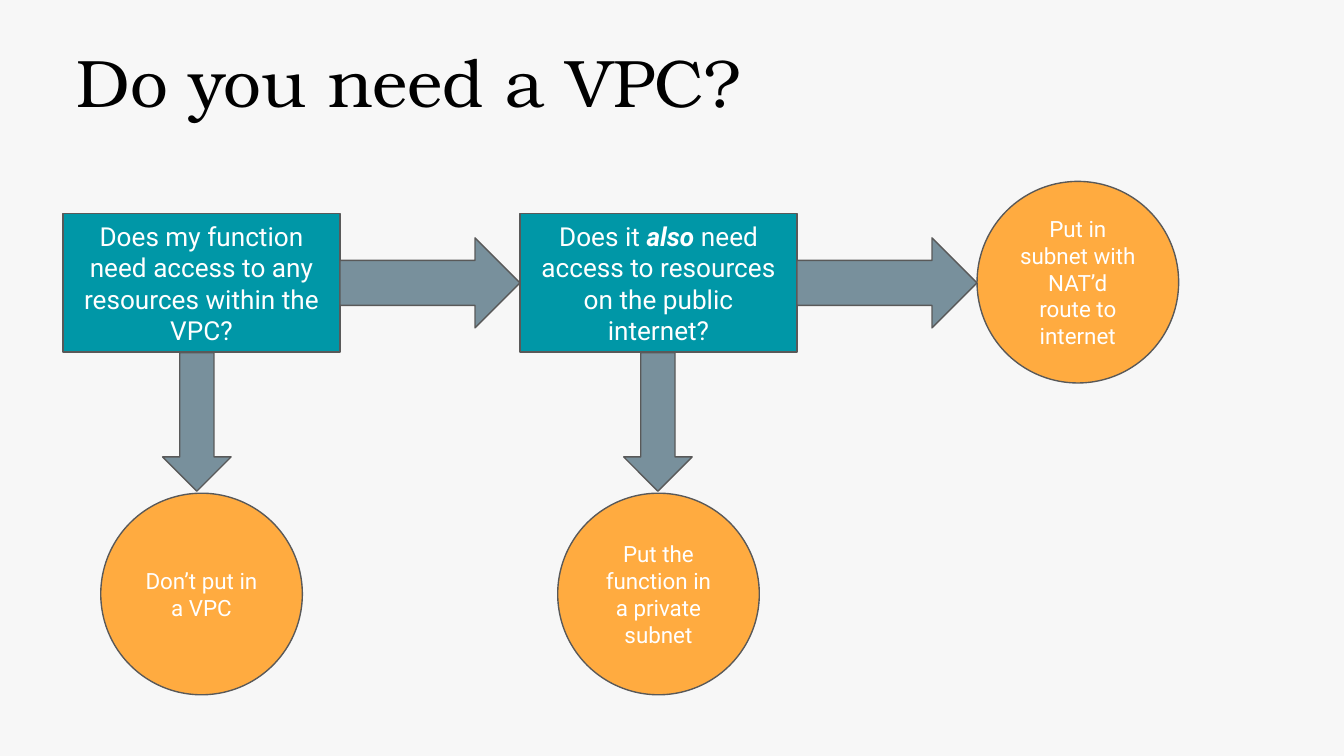
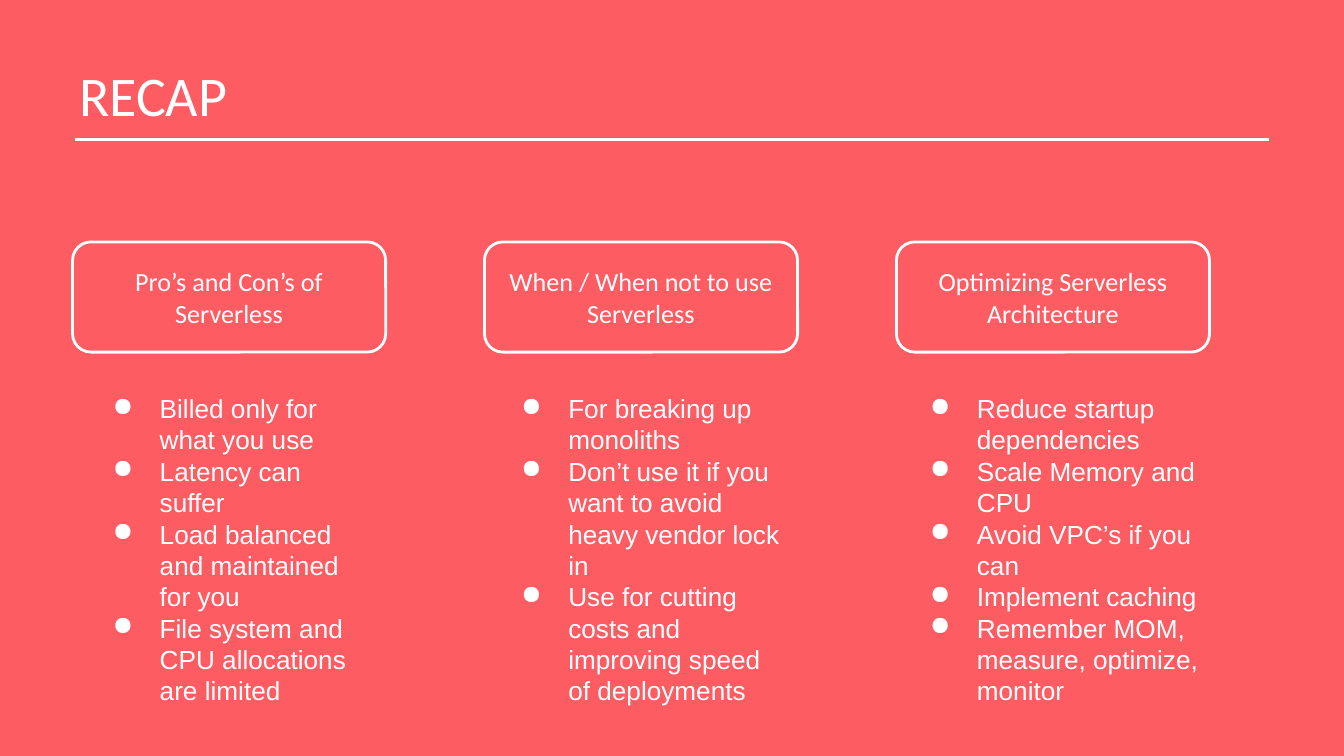
"""Build a VPC decision flow and a serverless recap on a 100-column grid."""
import pptx
import pptx.dml.color
import pptx.enum.shapes
import pptx.enum.text
import pptx.oxml
import pptx.oxml.ns
import pptx.util

SHAPE = pptx.enum.shapes.MSO_SHAPE
ALIGN = pptx.enum.text.PP_ALIGN
ANCHOR = pptx.enum.text.MSO_ANCHOR
COLUMNS, ROWS = 100, 56.25
CELL = pptx.util.Inches(0.1)
COLORS = {
    "paper": "F7F7F7", "coral": "FD5C63", "white": "FFFFFF", "black": "000000",
    "question": "0097A7", "answer": "FFAB40", "arrow": "78909C", "outline": "595959",
}
FORMATS = {
    "flow title": {"size": pptx.util.Pt(36), "name": "TeX Gyre Bonum"},
    "recap title": {"size": pptx.util.Pt(30), "name": "Calibri"},
    "question": {"size": pptx.util.Pt(14), "name": "Roboto"},
    "answer": {"size": pptx.util.Pt(12), "name": "Roboto"},
    "topic": {"size": pptx.util.Pt(14), "name": "Calibri"},
    "points": {"size": pptx.util.Pt(14), "name": "Arial"},
}
FRAME = {
    "word_wrap": True,
    "margin_left": CELL, "margin_right": CELL,
    "margin_top": CELL, "margin_bottom": CELL,
}
QUESTIONS = [
    [("Does my function need access to any resources within the VPC?", {})],
    [("Does it ", {}), ("also", {"bold": True, "italic": True}),
     (" need access to resources on the public internet?", {})],
]
ANSWERS = ["Don’t put in a VPC", "Put the function in a private subnet"]
FINAL_ANSWER = "Put in subnet with NAT’d route to internet"
TOPICS = [
    ("Pro’s and Con’s of Serverless", 22.8, [
        "Billed only for what you use",
        "Latency can suffer",
        "Load balanced and maintained for you",
        "File system and CPU allocations are limited",
    ]),
    ("When / When not to use Serverless", 22.8, [
        "For breaking up monoliths",
        "Don’t use it if you want to avoid heavy vendor lock in",
        "Use for cutting costs and improving speed of deployments",
    ]),
    ("Optimizing Serverless Architecture", 24.5, [
        "Reduce startup dependencies",
        "Scale Memory and CPU",
        "Avoid VPC’s if you can",
        "Implement caching",
        "Remember MOM, measure, optimize, monitor",
    ]),
]


def grid(*cells):
    """Turn counts of grid cells into slide lengths."""
    return [round(count * CELL) for count in cells]


def rgb(color):
    """Look up a named colour."""
    return pptx.dml.color.RGBColor.from_string(COLORS[color])


def apply(target, values):
    """Set each attribute in a dict of format values."""
    for attribute, value in values.items():
        setattr(target, attribute, value)


def add_slide(deck, background):
    """Add a blank slide with a plain background."""
    slide = deck.slides.add_slide(deck.slide_layouts[6])
    slide.background.fill.solid()
    slide.background.fill.fore_color.rgb = rgb(background)
    return slide


def write(paragraph, pieces, style, color="white"):
    """Write pieces of text, each with its own emphasis, in one style."""
    for text, emphasis in pieces:
        run = paragraph.add_run()
        run.text = text
        apply(run.font, {**FORMATS[style], **emphasis})
        run.font.color.rgb = rgb(color)


def add_text(slide, area, style, lines, color="white", bulleted=False):
    """Add a text box with one paragraph per line."""
    frame = slide.shapes.add_textbox(*grid(*area)).text_frame
    apply(frame, FRAME)
    for index, line in enumerate(lines):
        paragraph = frame.add_paragraph() if index else frame.paragraphs[0]
        if bulleted:
            add_bullet(paragraph)
        write(paragraph, [(line, {})], style, color)


def add_bullet(paragraph):
    """Give a paragraph a white round bullet and a hanging indent."""
    properties = paragraph._p.get_or_add_pPr()
    properties.set("marL", str(5 * CELL))
    properties.set("indent", str(round(-3.5 * CELL)))
    namespace = pptx.oxml.ns.nsdecls("a")
    for element in (
        f'<a:buClr {namespace}><a:srgbClr val="{COLORS["white"]}"/></a:buClr>',
        f'<a:buChar {namespace} char="●"/>',
    ):
        properties.append(pptx.oxml.parse_xml(element))


def add_node(slide, kind, area, fill=None, outline="outline", weight=0.75):
    """Add an outlined preset shape."""
    node = slide.shapes.add_shape(kind, *grid(*area))
    node.shadow.inherit = False
    if fill:
        node.fill.solid()
        node.fill.fore_color.rgb = rgb(fill)
    else:
        node.fill.background()
    node.line.color.rgb = rgb(outline)
    node.line.width = pptx.util.Pt(weight)
    return node


def label(node, style, pieces):
    """Centre a white label in a shape."""
    apply(node.text_frame, {**FRAME, "vertical_anchor": ANCHOR.MIDDLE})
    paragraph = node.text_frame.paragraphs[0]
    paragraph.alignment = ALIGN.CENTER
    write(paragraph, pieces, style)


def add_answer(slide, left, top, text):
    """Add a round answer."""
    circle = add_node(slide, SHAPE.OVAL, (left, top, 15, 15), "answer")
    label(circle, "answer", [(text, {})])


def add_rule(slide, left, top, right):
    """Add a horizontal white rule."""
    rule = slide.shapes.add_connector(
        pptx.enum.shapes.MSO_CONNECTOR.STRAIGHT, *grid(left, top, right, top))
    rule.line.color.rgb = rgb("white")
    rule.line.width = pptx.util.Pt(1.5)
    rule._element.spPr.append(
        pptx.oxml.parse_xml(f'<a:effectLst {pptx.oxml.ns.nsdecls("a")}/>'))


def build_flow(deck):
    """Draw the VPC decision flow."""
    slide = add_slide(deck, "paper")
    add_text(slide, (4.7, 2, 86.3, 6.7), "flow title", ["Do you need a VPC?"], "black")
    step, first, width = 34, 4.7, 20.6
    down_lefts = [12.1, 46.4]
    for index, (question, answer) in enumerate(zip(QUESTIONS, ANSWERS)):
        left = first + index * step
        box = add_node(slide, SHAPE.RECTANGLE, (left, 15.9, width, 10.3), "question")
        label(box, "question", question)
        add_answer(slide, left + (width - 15) / 2, 36.7, answer)
        add_node(slide, SHAPE.DOWN_ARROW, (down_lefts[index], 26.25, 5.1, 10.3), "arrow")
        add_node(slide, SHAPE.RIGHT_ARROW, (left + width, 17.7, step - width, 6.7), "arrow")
    add_answer(slide, first + 2 * step, 13.5, FINAL_ANSWER)


def build_recap(deck):
    """Draw the recap in three columns."""
    slide = add_slide(deck, "coral")
    add_text(slide, (4.9, 3.5, 90.3, 9.5), "recap title", ["RECAP"])
    add_rule(slide, 5.6, 10.4, 94.4)
    for index, (topic, width, points) in enumerate(TOPICS):
        heading = add_node(
            slide, SHAPE.ROUNDED_RECTANGLE, (5.4 + index * 30.65, 18, 23.3, 8.2),
            outline="white", weight=1.5)
        label(heading, "topic", [(topic, {})])
        add_text(slide, (5.9 + index * 30.4, 28.2, width, 24.6), "points", points,
                 bulleted=True)


def main():
    """Build and save both slides."""
    deck = pptx.Presentation()
    deck.slide_width, deck.slide_height = grid(COLUMNS, ROWS)
    build_flow(deck)
    build_recap(deck)
    deck.save("out.pptx")


if __name__ == "__main__":
    main()
